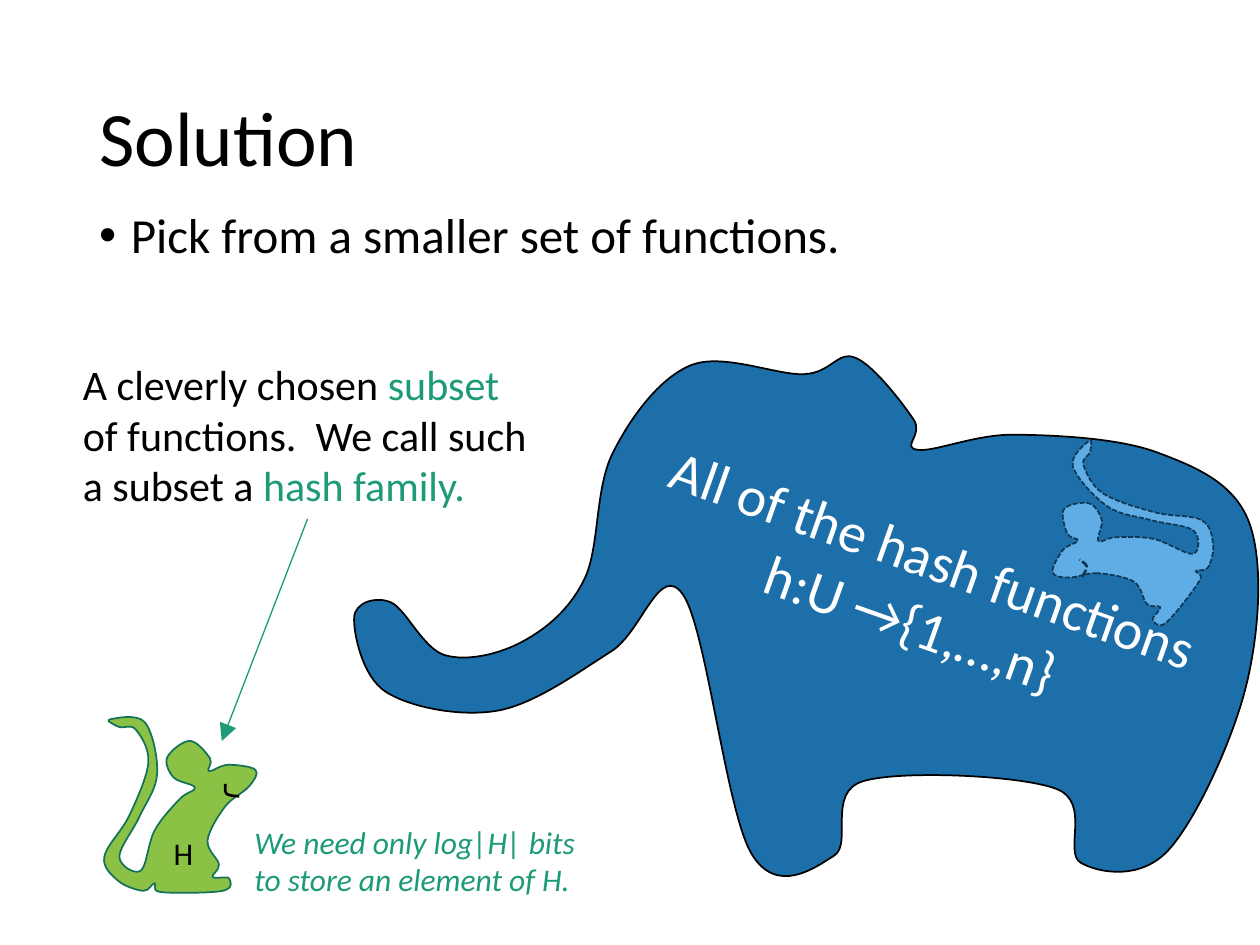
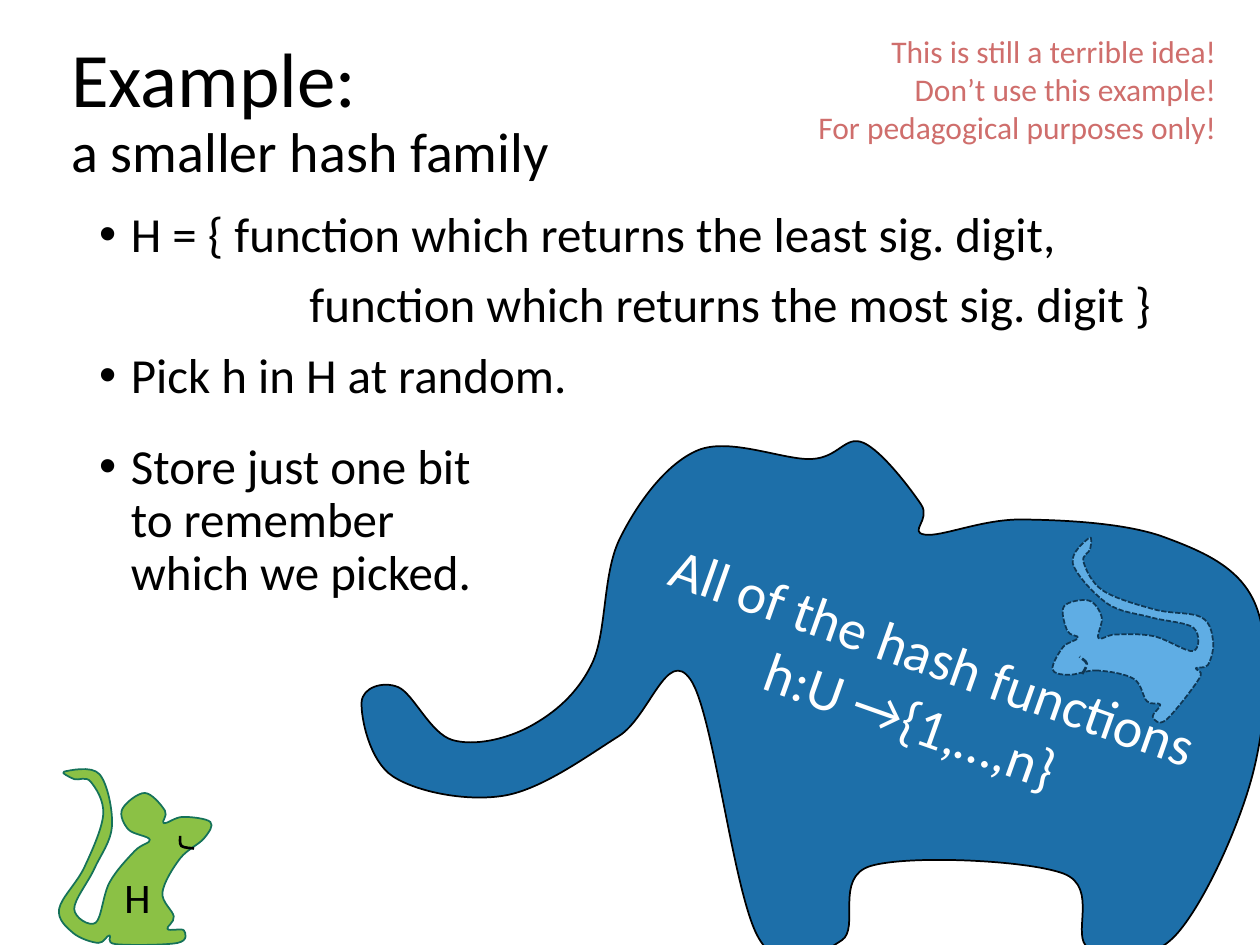
from dataclasses import dataclass
from itertools import chain
from math import cos, radians, sin
from typing import Optional

from pptx import Presentation
from pptx.dml.color import RGBColor
from pptx.enum.dml import MSO_LINE
from pptx.enum.shapes import MSO_CONNECTOR
from pptx.enum.text import MSO_ANCHOR, PP_ALIGN
from pptx.oxml.ns import qn
from pptx.oxml.xmlchemy import OxmlElement
from pptx.util import Cm, Pt

FONT = "Calibri"
BLACK, WHITE, GREEN, RED = "000000", "FFFFFF", "1D9A78", "CF6E6C"
GRID = 0.0254  # one unit of the animal drawings, in cm
BULLET_INDENT = 0.64
LINE_BREAK = "\n"


@dataclass(frozen=True)
class Animal:
    """Points a smooth curve passes through, by body part, around a pivot."""
    pivot: tuple
    body: dict
    smile: tuple = ()


@dataclass(frozen=True)
class Look:
    fill: str
    line: str
    smile_fill: Optional[str] = None
    smile_line: str = BLACK
    dashed: bool = False


@dataclass(frozen=True)
class Placement:
    """Where the pivot goes (cm); a negative stretch mirrors the animal."""
    x: float
    y: float
    stretch: float = 1
    turn: float = 0


@dataclass(frozen=True)
class Span:
    text: str
    size: float
    color: str = BLACK
    italic: bool = False


@dataclass(frozen=True)
class Para:
    spans: tuple
    align: PP_ALIGN = PP_ALIGN.LEFT
    bullet: bool = False
    indent: float = 0
    line_spacing: Optional[float] = None
    space_before: float = 0


@dataclass(frozen=True)
class TextBlock:
    left: float
    top: float
    width: float
    height: float
    paras: tuple
    anchor: MSO_ANCHOR = MSO_ANCHOR.TOP
    rotation: float = 0
    wrap: bool = True


ELEPHANT = Animal(pivot=(360, 207), body={
    "trunk top": ((73, 240), (135, 229), (184, 179), (206, 80)),
    "head": ((268, 10), (358, 17), (399, 4), (445, 53), (448, 77)),
    "back": ((525, 65), (638, 79), (711, 134), (709, 264)),
    "hind leg": ((647, 395), (578, 405)),
    "belly": ((558, 346), (405, 340)),
    "front leg": ((382, 399), (316, 397)),
    "chest": ((262, 192), (205, 237)),
    "trunk underside": ((115, 284), (26, 269)),
    "trunk tip": ((1, 210), (30, 198)),
})
MOUSE = Animal(pivot=(60.5, 69.5), body={
    "snout": ((96, 71), (115, 55), (120, 42), (98, 38), (83, 43)),
    "ear": ((84, 33), (68, 19), (50, 32), (55, 48)),
    "back": ((72, 56), (60, 65), (40, 90), (29, 122)),
    "inside of tail": ((12, 111), (28, 79), (42, 45), (32, 4)),
    "tail tip": ((4, 2), (12, 8), (25, 10)),
    "outside of tail": ((35, 36), (20, 78), (0, 111), (11, 130), (31, 138)),
    "foot": ((40, 132), (45, 139), (94, 138), (99, 128), (86, 127)),
    "belly": ((91, 117), (82, 98)),
}, smile=((107, 63), (97, 61), (96, 53)))

ELEPHANT_LOOK = Look("1D6FA9", BLACK)
MOUSE_LOOK = Look("8BC145", "157259")
INNER_LOOK = Look("5FADE4", "0F3754", "5FADE4", "0F3754", dashed=True)


def rgb(color: str) -> RGBColor:
    return RGBColor.from_string(color)


def place_point(point: tuple, pivot: tuple, place: Placement) -> tuple:
    """Stretch and turn a point about the pivot, then move it to the slide, in cm."""
    x = (point[0] - pivot[0]) * GRID * place.stretch
    y = (point[1] - pivot[1]) * GRID
    angle = radians(place.turn)
    return (place.x + x * cos(angle) - y * sin(angle),
            place.y + x * sin(angle) + y * cos(angle))


def curve_points(anchors: list, closed: bool) -> list:
    """Give two handles and an end per curve; each handle lies a sixth of the
    way along the chord between its anchor's neighbours."""
    count = len(anchors)

    def anchor(index: int) -> tuple:
        return anchors[index % count if closed else min(max(index, 0), count - 1)]

    def handle(index: int, side: int) -> tuple:
        return tuple(here + side * (after - before) / 6 for here, before, after
                     in zip(anchor(index), anchor(index - 1), anchor(index + 1)))

    curves = range(count if closed else count - 1)
    return list(chain.from_iterable(
        (handle(index, 1), handle(index + 1, -1), anchor(index + 1)) for index in curves))


def draw_curve(page, anchors: list, closed: bool, fill: Optional[str],
               line: str, width: float, dashed: bool) -> None:
    def lengths(point: tuple) -> tuple:
        return tuple(map(Cm, point))

    builder = page.shapes.build_freeform(*lengths(anchors[0]), scale=1.0)
    builder.add_line_segments(map(lengths, curve_points(anchors, closed)), close=closed)
    shape = builder.convert_to_shape()
    # Turn every three straight segments into one curve
    segments = list(shape._element.iter(qn("a:lnTo")))
    for start in range(0, len(segments), 3):
        curve = OxmlElement("a:cubicBezTo")
        segments[start].addprevious(curve)
        for segment in segments[start:start + 3]:
            curve.append(segment[0])
            segment.getparent().remove(segment)
    shape.shadow.inherit = False
    if fill:
        shape.fill.solid()
        shape.fill.fore_color.rgb = rgb(fill)
    else:
        shape.fill.background()
    shape.line.color.rgb = rgb(line)
    shape.line.width = Pt(width)
    if dashed:
        shape.line.dash_style = MSO_LINE.SQUARE_DOT


def draw_animal(page, animal: Animal, look: Look, place: Placement) -> None:
    def placed(points) -> list:
        return [place_point(point, animal.pivot, place) for point in points]

    body = placed(chain.from_iterable(animal.body.values()))
    draw_curve(page, body, True, look.fill, look.line, 1, look.dashed)
    if animal.smile:
        draw_curve(page, placed(animal.smile), False, look.smile_fill, look.smile_line,
                   1.5, look.dashed)


def set_margins(paragraph, para: Para) -> None:
    properties = paragraph._p.get_or_add_pPr()
    properties.set("marL", str(Cm(BULLET_INDENT if para.bullet else para.indent)))
    properties.set("indent", str(-Cm(BULLET_INDENT) if para.bullet else 0))
    if para.bullet:
        for tag, key, value in (("a:buFont", "typeface", "Arial"), ("a:buChar", "char", "•")):
            element = OxmlElement(tag)
            element.set(key, value)
            properties.append(element)


def draw_text(page, block: TextBlock) -> None:
    box = page.shapes.add_textbox(*map(Cm, (block.left, block.top, block.width, block.height)))
    box.rotation = block.rotation
    frame = box.text_frame
    frame.word_wrap = block.wrap
    frame.vertical_anchor = block.anchor
    for index, para in enumerate(block.paras):
        paragraph = frame.add_paragraph() if index else frame.paragraphs[0]
        set_margins(paragraph, para)
        paragraph.alignment = para.align
        if para.line_spacing:
            paragraph.line_spacing = para.line_spacing
        if index:
            paragraph.space_before = Pt(para.space_before)
        for span in para.spans:
            if span.text == LINE_BREAK:
                paragraph.add_line_break()
                continue
            run = paragraph.add_run()
            run.text = span.text
            run.font.name = FONT
            run.font.size = Pt(span.size)
            run.font.italic = span.italic
            run.font.color.rgb = rgb(span.color)


def draw_title(page, left: float, top: float, *spans: Span) -> None:
    para = Para(spans, line_spacing=0.9)
    draw_text(page, TextBlock(left, top, 21.89, 3.68, (para,), MSO_ANCHOR.MIDDLE))


def draw_body(page, top: float, *paras: Para, width: float = 21.89, height: float = 12.09) -> None:
    draw_text(page, TextBlock(1.75, top, width, height, paras))


def body_para(text: str, bullet: bool = True, indent: float = 0) -> Para:
    return Para((Span(text, 28),), bullet=bullet, indent=indent, line_spacing=0.9, space_before=10)


def draw_all_functions(page, elephant: Placement, label_top: float) -> None:
    """The elephant that stands for all hash functions, with its tilted label."""
    draw_animal(page, ELEPHANT, ELEPHANT_LOOK, elephant)
    span = Span("All of the hash functions h:U →{1,…,n}", 32, WHITE)
    para = Para((span,), PP_ALIGN.CENTER)
    draw_text(page, TextBlock(12.57, label_top, 12.04, 3, (para,), rotation=19.6))


def draw_inner_mouse(page, y: float) -> None:
    """The same mouse inside the elephant: mirrored, narrowed and turned."""
    draw_animal(page, MOUSE, INNER_LOOK, Placement(22.57, y, stretch=-0.87, turn=-52.7))


def draw_arrow(page, start: tuple, end: tuple) -> None:
    arrow = page.shapes.add_connector(MSO_CONNECTOR.STRAIGHT, *map(Cm, start + end))
    arrow.line.color.rgb = rgb(GREEN)
    arrow.line.width = Pt(0.75)
    head = OxmlElement("a:tailEnd")
    for key, value in (("type", "triangle"), ("w", "lg"), ("len", "lg")):
        head.set(key, value)
    arrow.line._get_or_add_ln().append(head)
    arrow._element.spPr.append(OxmlElement("a:effectLst"))


def build_solution(page) -> None:
    draw_title(page, 1.75, 1.02, Span("Solution", 44))
    draw_body(page, 4.14, body_para("Pick from a smaller set of functions."))
    draw_all_functions(page, Placement(16.26, 12.37), label_top=10.41)
    draw_animal(page, MOUSE, MOUSE_LOOK, Placement(3.64, 16.22))
    # The hash family and what it costs to store
    family = (Span("A cleverly chosen", 24), Span(" subset ", 24, GREEN),
              Span("of functions.  We call such a subset a ", 24), Span("hash family.", 24, GREEN))
    draw_text(page, TextBlock(1.42, 7.11, 9.58, 3.33, (Para(family),)))
    draw_arrow(page, (6.2, 10.46), (4.47, 14.94))
    storage = Span("We need only log|H| bits to store an element of H.", 18, GREEN, italic=True)
    draw_text(page, TextBlock(4.88, 16.46, 7.57, 1.8, (Para((storage,)),)))
    draw_inner_mouse(page, 10.91)
    draw_text(page, TextBlock(3.25, 16.69, 1.22, 1.02, (Para((Span("H", 18),)),)))


def build_example(page) -> None:
    draw_title(page, 1.19, 0.43, Span("Example:", 44), Span(LINE_BREAK, 44),
               Span("a smaller hash family", 32))
    draw_body(page, 4.11,
              body_para("H = { function which returns the least sig. digit,"),
              body_para("function which returns the most sig. digit }", bullet=False, indent=4.24),
              body_para("Pick h in H at random."))
    draw_all_functions(page, Placement(16.41, 14.08), label_top=12.37)
    draw_animal(page, MOUSE, MOUSE_LOOK, Placement(2.73, 17.27))
    draw_inner_mouse(page, 12.87)
    draw_body(page, 8.79, body_para("Store just one bit to remember which we picked."),
              width=8.69, height=6.73)
    # Warning in the corner
    warnings = ("This is still a terrible idea!", "Don’t use this example!",
                "For pedagogical purposes only!")
    draw_text(page, TextBlock(16.03, 0.53, 8.74, 2.57, tuple(
        Para((Span(warning, 18, RED),), PP_ALIGN.RIGHT) for warning in warnings)))
    draw_text(page, TextBlock(2.26, 17.45, 1.04, 1.27, (Para((Span("H", 24),)),), wrap=False))


def main() -> None:
    deck = Presentation()
    deck.slide_width, deck.slide_height = Cm(25.4), Cm(19.05)
    for build in (build_solution, build_example):
        build(deck.slides.add_slide(deck.slide_layouts[6]))
    deck.save("out.pptx")


if __name__ == "__main__":
    main()
